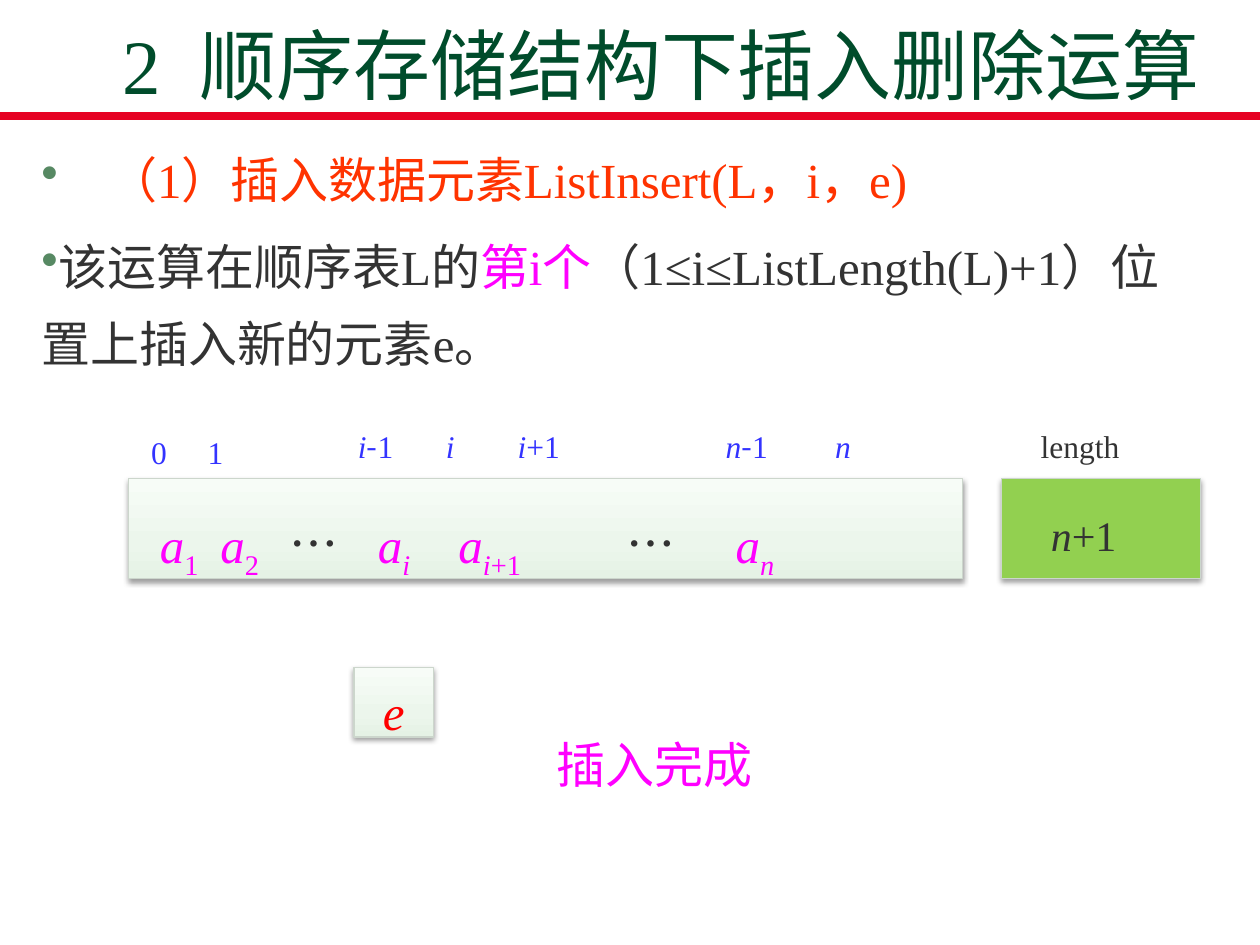
from copy import deepcopy

from lxml.etree import SubElement
from pptx import Presentation
from pptx.dml.color import RGBColor
from pptx.enum.shapes import MSO_CONNECTOR, MSO_SHAPE
from pptx.enum.text import MSO_ANCHOR, MSO_AUTO_SIZE, PP_ALIGN
from pptx.oxml.ns import qn
from pptx.util import Pt

PX = 9144  # EMU per px, 100 px to the inch
SERIF, CJK = "Times New Roman", "Noto Sans CJK SC"

DARK_GREEN = RGBColor(0x00, 0x4C, 0x2B)
BULLET_GREEN = RGBColor(0x57, 0x89, 0x63)
LIME = RGBColor(0x92, 0xD0, 0x50)
EDGE = RGBColor(0xCC, 0xD6, 0xCC)
CRIMSON = RGBColor(0xE6, 0x02, 0x23)
ORANGE = RGBColor(0xFF, 0x33, 0x00)
RED = RGBColor(0xFF, 0x00, 0x00)
MAGENTA = RGBColor(0xFF, 0x00, 0xFF)
BLUE = RGBColor(0x33, 0x33, 0xFF)
GRAY = RGBColor(0x33, 0x33, 0x33)
PALE = [(0, RGBColor(0xE5, 0xF2, 0xE5)), (0.35, RGBColor(0xEC, 0xF6, 0xEC)),
        (1, RGBColor(0xF7, 0xFC, 0xF7))]


class Deck:
    def __init__(self, width, height):
        self.prs = Presentation()
        self.prs.slide_width, self.prs.slide_height = width * PX, height * PX
        self.s = self.prs.slides.add_slide(self.prs.slide_layouts[5])

    def run(self, p, text, size, color, font=SERIF, italic=False, sub=False):
        r = p.add_run()
        r.text = text
        f = r.font
        f.size, f.name, f.italic = Pt(size), font, italic
        f.color.rgb = color
        SubElement(f._element, qn("a:ea")).set("typeface", CJK)
        if sub:
            f._element.set("baseline", "-25000")
        return r

    def title(self, number, text, x, y, w, h):
        sp = self.s.shapes.title
        sp.left, sp.top, sp.width, sp.height = [v * PX for v in (x, y, w, h)]
        tf = sp.text_frame
        tf.vertical_anchor, tf.auto_size = MSO_ANCHOR.MIDDLE, MSO_AUTO_SIZE.NONE
        p = tf.paragraphs[0]
        p.alignment = PP_ALIGN.CENTER
        self.run(p, number, 44, DARK_GREEN)
        gap = self.run(p, " ", 44, DARK_GREEN)
        gap.font._element.set("spc", "1100")
        self.run(p, text, 44, DARK_GREEN)

    def rule(self, x1, y1, x2, y2, color, weight):
        c = self.s.shapes.add_connector(MSO_CONNECTOR.STRAIGHT,
                                        x1 * PX, y1 * PX, x2 * PX, y2 * PX)
        c.line.color.rgb, c.line.width = color, Pt(weight)
        SubElement(c._element.spPr, qn("a:effectLst"))

    def frame(self, sp, inset=True, spacing=1.2):
        tf = sp.text_frame
        tf.word_wrap, tf.auto_size = True, MSO_AUTO_SIZE.SHAPE_TO_FIT_TEXT
        tf.vertical_anchor = MSO_ANCHOR.TOP
        if not inset:
            tf.margin_left = tf.margin_top = tf.margin_right = tf.margin_bottom = 0
        p = tf.paragraphs[0]
        p.alignment, p.line_spacing = PP_ALIGN.LEFT, spacing
        return tf

    def text(self, x, y, w, h, runs, size, color, inset=True):
        """Runs are (text, style) pairs; style holds run() keywords."""
        sp = self.s.shapes.add_textbox(x * PX, y * PX, w * PX, h * PX)
        p = self.frame(sp, inset).paragraphs[0]
        for text, style in runs:
            self.run(p, text, size, color, **style)

    def bullets(self, x, y, w, h, items):
        """Items are (hanging indent in px, [(text, color), ...])."""
        sp = self.s.shapes.add_textbox(x * PX, y * PX, w * PX, h * PX)
        tf = self.frame(sp, spacing=1.3)
        for i, (hang, runs) in enumerate(items):
            p = tf.add_paragraph() if i else tf.paragraphs[0]
            p.line_spacing = 1.3
            if i:
                p.space_before = Pt(6)
            pPr = p._p.get_or_add_pPr()
            pPr.set("marL", str(hang * PX))
            pPr.set("indent", str(-hang * PX))
            clr = SubElement(pPr, qn("a:buClr"))
            SubElement(clr, qn("a:srgbClr")).set("val", str(BULLET_GREEN))
            SubElement(pPr, qn("a:buChar")).set("char", "•")
            for text, color in runs:
                self.run(p, text, 28, color)

    def box(self, x, y, w, h, fill, raised=True):
        """Fill is a colour or a list of gradient stops from bottom to top."""
        sp = self.s.shapes.add_shape(MSO_SHAPE.RECTANGLE,
                                     x * PX, y * PX, w * PX, h * PX)
        sp.shadow.inherit = False
        if isinstance(fill, list):
            sp.fill.gradient()
            sp.fill.gradient_angle = 90
            stops = sp._element.spPr.find(".//" + qn("a:gsLst"))
            stops.append(deepcopy(stops[-1]))
            for stop, (position, color) in zip(sp.fill.gradient_stops, fill):
                stop.position, stop.color.rgb = position, color
        else:
            sp.fill.solid()
            sp.fill.fore_color.rgb = fill
        if raised:
            sp.line.color.rgb, sp.line.width = EDGE, Pt(0.75)
            effects = sp._element.spPr.find(qn("a:effectLst"))
            shadow = SubElement(effects, qn("a:outerShdw"), blurRad="40000",
                                dist="20000", dir="5400000", rotWithShape="0")
            black = SubElement(shadow, qn("a:srgbClr"), val="000000")
            SubElement(black, qn("a:alpha"), val="38000")
        else:
            sp.line.fill.background()
        return sp


UP, IT, SUB = {}, {"italic": True}, {"sub": True}
IT_SUB, SANS = {**IT, **SUB}, {"font": CJK}


def main():
    d = Deck(1000, 750)
    d.title("2", "顺序存储结构下插入删除运算", 75, 17, 900, 67)
    d.rule(0, 92, 1000, 92, CRIMSON, 4.5)
    d.bullets(23, 100, 933, 203, [
        (53, [("（1）插入数据元素ListInsert(L，i，e)", ORANGE)]),
        (0, [("该运算在顺序表L的", GRAY), ("第i个", MAGENTA),
             ("（1≤i≤ListLength(L)+1）位置上插入新的元素e。", GRAY)]),
    ])

    d.box(281, 530, 63, 55, PALE)
    d.box(102, 380, 662, 79, PALE)

    minus_one = [("-", SANS), ("1", UP)]
    indexes = [
        (110, 333, 55, [("0", UP)]),
        (155, 333, 55, [("1", UP)]),
        (344, 328, 55, [("i", IT)]),
        (401, 328, 87, [("i", IT), ("+1", UP)]),
        (566, 328, 71, [("n", IT), *minus_one]),
        (653, 328, 71, [("n", IT)]),
    ]
    for x, y, w, runs in indexes:
        d.text(x, y, w, 46, runs, 18, BLUE)
    d.text(284, 333, 68, 36, [("i", IT), *minus_one], 18, BLUE, inset=False)

    elements = [
        (117, 55, [("1", SUB)]),
        (165, 55, [("2", SUB)]),
        (290, 55, [("i", IT_SUB)]),
        (354, 79, [("i", IT_SUB), ("+1", SUB)]),
        (574, 79, [("n", IT_SUB)]),
    ]
    for x, w, subscript in elements:
        d.text(x, 393, w, 66, [("a", IT), *subscript], 28, MAGENTA)
    for x in (220, 487):
        d.text(x, 393, 55, 66, [("…", SANS)], 28, GRAY)

    d.text(294, 527, 55, 66, [("e", IT)], 28, RED)
    d.text(432, 569, 213, 66, [("插入完成", SANS)], 28, MAGENTA)

    d.box(795, 380, 158, 79, LIME)
    d.text(826, 333, 79, 36, [("length", UP)], 18, GRAY, inset=False)
    count = d.box(834, 396, 79, 48, LIME, raised=False)
    p = d.frame(count, inset=False).paragraphs[0]
    for text, style in [("n", IT), ("+1", UP)]:
        d.run(p, text, 24, GRAY, **style)

    d.prs.save("out.pptx")


if __name__ == "__main__":
    main()
